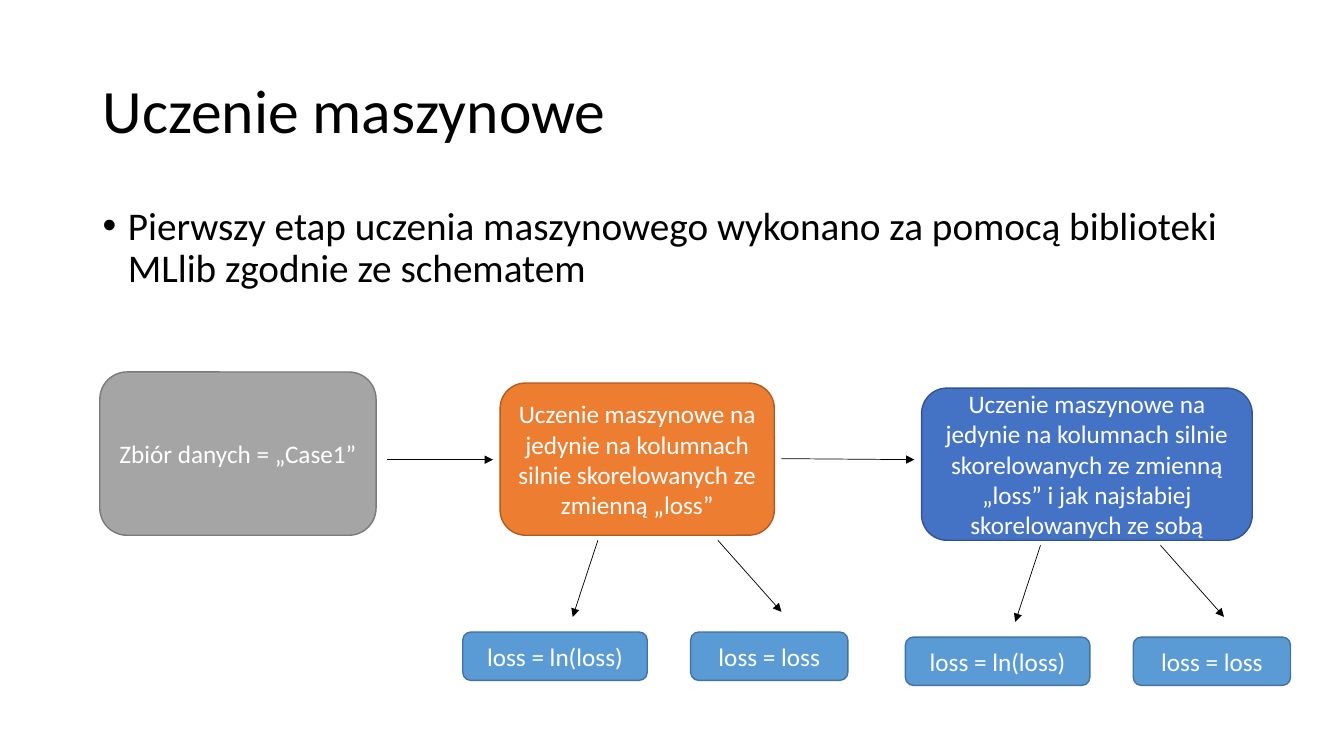
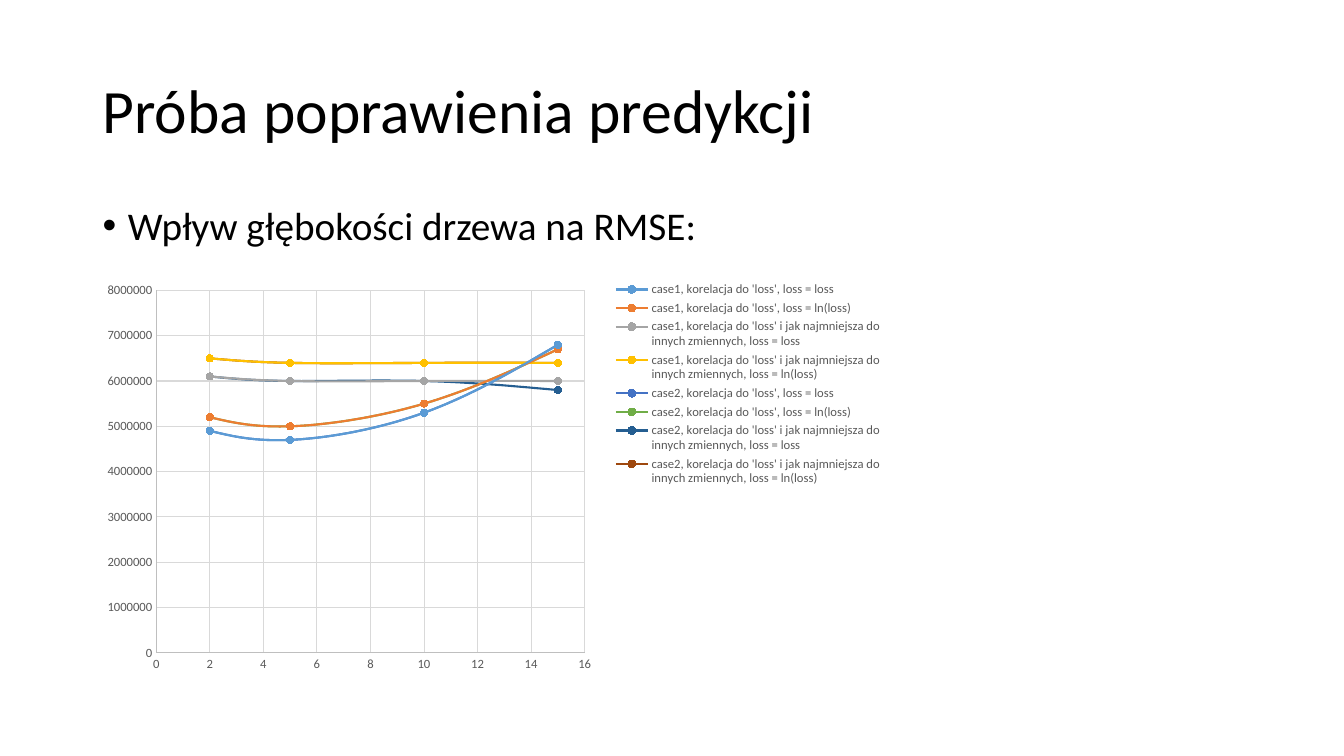
from dataclasses import dataclass

from pptx import Presentation
from pptx.chart.data import XyChartData
from pptx.dml.color import RGBColor
from pptx.enum.chart import XL_CHART_TYPE, XL_LEGEND_POSITION, XL_MARKER_STYLE, XL_TICK_MARK
from pptx.enum.shapes import MSO_CONNECTOR, MSO_SHAPE
from pptx.enum.text import MSO_ANCHOR, PP_ALIGN
from pptx.oxml import parse_xml
from pptx.oxml.ns import nsdecls
from pptx.util import Inches, Pt


@dataclass(frozen=True)
class Theme:
    font: str = "Calibri"
    title: int = 44
    body: int = 28
    box: int = 18
    chart: int = 9
    black: str = "000000"
    white: str = "FFFFFF"
    gray: str = "A5A5A5"
    gray_edge: str = "7A7A7A"
    orange: str = "ED7D31"
    orange_edge: str = "AF5C24"
    blue: str = "4472C4"
    blue_edge: str = "325491"
    sky: str = "5B9BD5"
    sky_edge: str = "43739E"
    label: str = "595959"
    axis: str = "BFBFBF"
    grid: str = "D9D9D9"
    series: tuple = ("5B9BD5", "ED7D31", "A5A5A5", "FFC000",
                     "4472C4", "70AD47", "255E91", "9E480E")


T = Theme()
rgb = RGBColor.from_string


def write(tf, text, *, size, color=T.black, align=PP_ALIGN.LEFT, anchor=MSO_ANCHOR.TOP,
          spacing=None, before=0, bullet=False):
    tf.word_wrap = True
    tf.vertical_anchor = anchor
    p = tf.paragraphs[0]
    p.alignment = align
    p.space_before = Pt(before)
    if spacing:
        p.line_spacing = spacing
    if bullet:
        pPr = p._p.get_or_add_pPr()
        pPr.set("marL", str(Inches(0.25)))
        pPr.set("indent", str(Inches(-0.25)))
        pPr.append(parse_xml(f'<a:buFont {nsdecls("a")} typeface="Arial"/>'))
        pPr.append(parse_xml(f'<a:buChar {nsdecls("a")} char="•"/>'))
    r = p.add_run()
    r.text = text
    r.font.name = T.font
    r.font.size = Pt(size)
    r.font.color.rgb = rgb(color)


def add_arrow(s, x1, y1, x2, y2):
    cxn = s.shapes.add_connector(MSO_CONNECTOR.STRAIGHT, Inches(x1), Inches(y1),
                                 Inches(x2), Inches(y2))
    cxn.line.color.rgb = rgb(T.black)
    cxn.line.width = Pt(0.5)
    spPr = cxn.element.xpath("./p:spPr")[0]
    ln = spPr.xpath("./a:ln")[0]
    ln.append(parse_xml(f'<a:tailEnd {nsdecls("a")} type="triangle"/>'))
    spPr.append(parse_xml(f'<a:effectLst {nsdecls("a")}/>'))


prs = Presentation()
prs.slide_width, prs.slide_height = Inches(13.33), Inches(7.5)

# Shared title and bullet
slides = []
for title, body in (
    ("Uczenie maszynowe",
     "Pierwszy etap uczenia maszynowego wykonano za pomocą biblioteki MLlib "
     "zgodnie ze schematem"),
    ("Próba poprawienia predykcji", "Wpływ głębokości drzewa na RMSE:"),
):
    s = prs.slides.add_slide(prs.slide_layouts[6])
    tb = s.shapes.add_textbox(Inches(0.92), Inches(0.4), Inches(11.5), Inches(1.45))
    write(tb.text_frame, title, size=T.title, anchor=MSO_ANCHOR.MIDDLE, spacing=0.9)
    tb = s.shapes.add_textbox(Inches(0.92), Inches(2), Inches(11.5), Inches(4.76))
    write(tb.text_frame, body, size=T.body, spacing=0.9, before=10, bullet=True)
    slides.append(s)
flow, results = slides

# Slide 1: main steps
boxes = [
    (0.99, 3.69, 2.74, 1.62, T.gray, T.gray_edge, "Zbiór danych = „Case1”"),
    (4.96, 3.8, 2.72, 1.51, T.orange, T.orange_edge,
     "Uczenie maszynowe na jedynie na kolumnach silnie skorelowanych ze zmienną „loss”"),
    (9.14, 3.85, 3.28, 1.51, T.blue, T.blue_edge,
     "Uczenie maszynowe na jedynie na kolumnach silnie skorelowanych ze zmienną „loss” "
     "i jak najsłabiej skorelowanych ze sobą"),
]
add_arrow(flow, 3.84, 4.56, 4.89, 4.56)
add_arrow(flow, 7.75, 4.55, 9.07, 4.56)

# Slide 1: the same two branches under each learning step
for dx, dy in ((0, 0), (4.39, 0.05)):
    for x, w, text in ((4.59, 1.83, "loss = ln(loss)"), (6.85, 1.56, "loss = loss")):
        boxes.append((x + dx, 6.27 + dy, w, 0.48, T.sky, T.sky_edge, text))
    for x1, x2, y2 in ((5.93, 5.68, 6.12), (7.12, 7.75, 6.07)):
        add_arrow(flow, x1 + dx, 5.36 + dy, x2 + dx, y2 + dy)

for x, y, w, h, fill, edge, text in boxes:
    sp = flow.shapes.add_shape(MSO_SHAPE.ROUNDED_RECTANGLE, Inches(x), Inches(y),
                               Inches(w), Inches(h))
    sp.shadow.inherit = False
    sp.fill.solid()
    sp.fill.fore_color.rgb = rgb(fill)
    sp.line.color.rgb = rgb(edge)
    sp.line.width = Pt(1)
    write(sp.text_frame, text, size=T.box, color=T.white, align=PP_ALIGN.CENTER,
          anchor=MSO_ANCHOR.MIDDLE)

# Slide 2: chart data, RMSE by tree depth
depths = (2, 5, 10, 15)
direct = "korelacja do 'loss'"
sparse = direct + " i jak najmniejsza do innych zmiennych"
rmse = (
    ("case1", direct, "loss", (4900000, 4700000, 5300000, 6800000)),
    ("case1", direct, "ln(loss)", (5200000, 5000000, 5500000, 6700000)),
    ("case1", sparse, "loss", (6100000, 6000000, 6000000, 6000000)),
    ("case1", sparse, "ln(loss)", (6500000, 6400000, 6400000, 6400000)),
    ("case2", direct, "loss", (4900000, 4700000, 5300000, 6800000)),
    ("case2", direct, "ln(loss)", (5200000, 5000000, 5500000, 6700000)),
    ("case2", sparse, "loss", (6100000, 6000000, 6000000, 5800000)),
    ("case2", sparse, "ln(loss)", (6500000, 6400000, 6400000, 6400000)),
)
data = XyChartData()
for case, columns, target, values in rmse:
    series = data.add_series(f"{case}, {columns}, loss = {target}")
    for depth, value in zip(depths, values):
        series.add_data_point(depth, value)

chart = results.shapes.add_chart(XL_CHART_TYPE.XY_SCATTER_SMOOTH, Inches(0.92), Inches(2.72),
                                 Inches(7.87), Inches(4.04), data).chart
chart.has_title = False
chart.has_legend = True
chart.legend.position = XL_LEGEND_POSITION.CORNER
chart.legend.include_in_layout = False
chart.font.name = T.font
chart.font.size = Pt(10)
chart.plots[0].vary_by_categories = False

# Series lines and markers
for series, color in zip(chart.plots[0].series, T.series):
    series.format.line.color.rgb = rgb(color)
    series.format.line.width = Pt(1.5)
    series.marker.style = XL_MARKER_STYLE.CIRCLE
    series.marker.size = 5
    series.marker.format.fill.solid()
    series.marker.format.fill.fore_color.rgb = rgb(color)
    series.marker.format.line.color.rgb = rgb(color)
for smooth in chart.element.xpath(".//c:ser/c:smooth"):
    smooth.set("val", "1")

# Axes and fonts
for axis, top, step in ((chart.category_axis, 16, 2), (chart.value_axis, 8000000, 1000000)):
    axis.minimum_scale, axis.maximum_scale, axis.major_unit = 0, top, step
    axis.major_tick_mark = axis.minor_tick_mark = XL_TICK_MARK.NONE
    axis.has_major_gridlines = True
    axis.tick_labels.number_format = "General"
    axis.tick_labels.number_format_is_linked = False
    for line, color in ((axis.format.line, T.axis), (axis.major_gridlines.format.line, T.grid)):
        line.color.rgb = rgb(color)
        line.width = Pt(0.75)
for font in (chart.category_axis.tick_labels.font, chart.value_axis.tick_labels.font,
             chart.legend.font):
    font.name = T.font
    font.size = Pt(T.chart)
    font.color.rgb = rgb(T.label)

# Plot and legend placement, as shares of the chart
for tag, at, target, box in (("plotArea", 0, '<c:layoutTarget val="inner"/>',
                              (0.08, 0.04, 0.54, 0.89)),
                             ("legend", 1, "", (0.66, 0.01, 0.34, 0.52))):
    part = chart.element.xpath(f".//c:{tag}")[0]
    for old in part.xpath("./c:layout"):
        part.remove(old)
    modes = "".join(f'<c:{k}Mode val="edge"/>' for k in "xy")
    sizes = "".join(f'<c:{k} val="{v}"/>' for k, v in zip("xywh", box))
    part.insert(at, parse_xml(f'<c:layout {nsdecls("c")}><c:manualLayout>{target}{modes}{sizes}'
                              "</c:manualLayout></c:layout>"))

prs.save("out.pptx")
